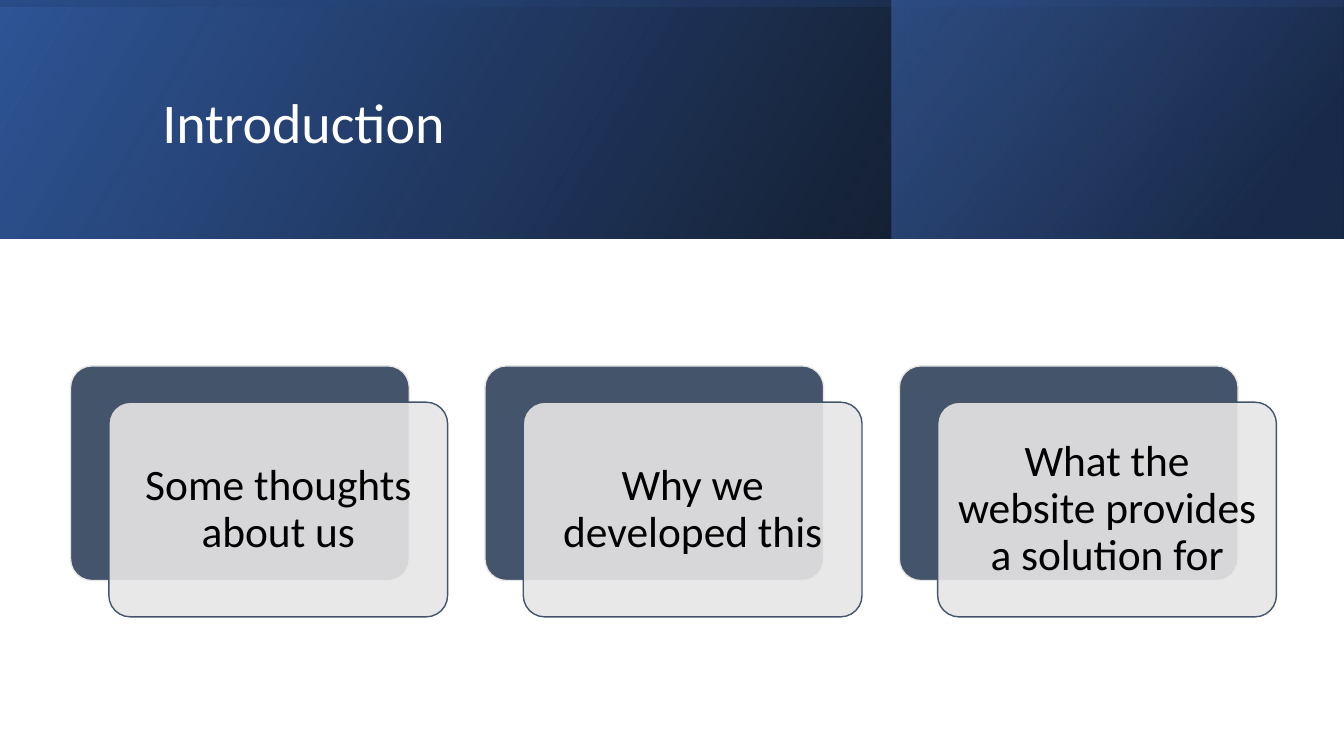
import lxml.etree
import pptx
import pptx.dml.color
import pptx.enum.shapes
import pptx.enum.text
import pptx.oxml
import pptx.oxml.ns
import pptx.util

Inches = pptx.util.Inches
Pt = pptx.util.Pt
Shape = pptx.enum.shapes.MSO_SHAPE
Align = pptx.enum.text.PP_ALIGN
Anchor = pptx.enum.text.MSO_ANCHOR
qn = pptx.oxml.ns.qn

FONT = "Calibri"
COLORS = {
    "white": "FFFFFF", "black": "000000", "blue": "2F5597",
    "navy": "203864", "sky": "4472C4", "slate": "44546A", "mist": "E7E6E6",
}
TOPICS = [
    "Some thoughts about us",
    "Why we developed this",
    "What the website provides a solution for",
]


def color(name):
    return pptx.dml.color.RGBColor.from_string(COLORS[name])


def add_box(slide, kind, box):
    shape = slide.shapes.add_shape(kind, *[Inches(v) for v in box])
    shape.shadow.inherit = False
    return shape


def set_text(shape, text, size, tint, align):
    frame = shape.text_frame
    frame.text = text
    frame.word_wrap = True
    frame.auto_size = pptx.enum.text.MSO_AUTO_SIZE.NONE
    frame.vertical_anchor = Anchor.MIDDLE
    line = frame.paragraphs[0]
    line.alignment = align
    line.line_spacing = 0.9
    font = line.runs[0].font
    font.name = FONT
    font.size = Pt(size)
    font.color.rgb = color(tint)


def add_band(slide, box, angle, stops, turn=0):
    """Mirrored rectangle with a see-through gradient; stops are (place, color, opacity)."""
    band = add_box(slide, Shape.RECTANGLE, box)
    band.rotation = turn
    band.line.fill.background()
    props = band._element.spPr
    props.find(qn("a:xfrm")).set("flipH", "1")
    marks = "".join(
        f'<a:gs pos="{place * 1000}"><a:srgbClr val="{COLORS[name]}">'
        f'<a:alpha val="{alpha * 1000}"/></a:srgbClr></a:gs>'
        for place, name, alpha in stops)
    fill = pptx.oxml.parse_xml(
        f'<a:gradFill {pptx.oxml.ns.nsdecls("a")} rotWithShape="1"><a:gsLst>{marks}</a:gsLst>'
        f'<a:lin ang="{angle * 60000}" scaled="0"/></a:gradFill>')
    props.find(qn("a:prstGeom")).addnext(fill)


def add_header(slide, left, top, width, height):
    # Layered gradient bands
    add_band(slide, (left, top, width, height), 330,
             [(0, "black", 96), (100, "blue", 100)])
    add_band(slide, (left + 8.84, top, 4.48, height), 320,
             [(19, "navy", 68), (100, "sky", 48)])
    shift = (width - height) / 2
    add_band(slide, (left + shift, top - shift, height, width), 350,
             [(23, "blue", 16), (99, "black", 45)], turn=270)
    # Title, brought in front of the bands
    title = slide.shapes.title
    title.left, title.top = Inches(left + 1.51), Inches(top + 0.38)
    title.width, title.height = Inches(10.63), Inches(1.72)
    set_text(title, "Introduction", 40, "white", Align.LEFT)
    slide.shapes._spTree.append(title._element)


def add_card(slide, left, top, width, height, text):
    # Dark back plate and pale front plate
    plates = [(0, 0, "slate", "mist"), (0.38, 0.36, "mist", "slate")]
    for right, down, fill, edge in plates:
        plate = add_box(slide, Shape.ROUNDED_RECTANGLE,
                        (left + right, top + down, width, height))
        plate.adjustments[0] = 0.1
        plate.fill.solid()
        plate.fill.fore_color.rgb = color(fill)
        plate.line.color.rgb = color(edge)
        plate.line.width = Pt(1)
    # Front plate: opacity and text
    tint = plate._element.spPr.find(qn("a:solidFill"))[0]
    lxml.etree.SubElement(tint, qn("a:alpha")).set("val", "90000")
    set_text(plate, text, 31, "black", Align.CENTER)
    frame = plate.text_frame
    frame.margin_left = frame.margin_right = Inches(0.12)
    frame.margin_top = frame.margin_bottom = Inches(0.12)


def add_cards(slide, left, top, step):
    for i, text in enumerate(TOPICS):
        add_card(slide, left + i * step, top, 3.36, 2.13, text)


def main():
    deck = pptx.Presentation()
    deck.slide_width = Inches(13.33)
    deck.slide_height = Inches(7.5)
    slide = deck.slides.add_slide(deck.slide_layouts[5])
    add_header(slide, 0, 0, 13.33, 2.37)
    add_cards(slide, 0.7, 3.63, 4.11)
    deck.save("out.pptx")


if __name__ == "__main__":
    main()
